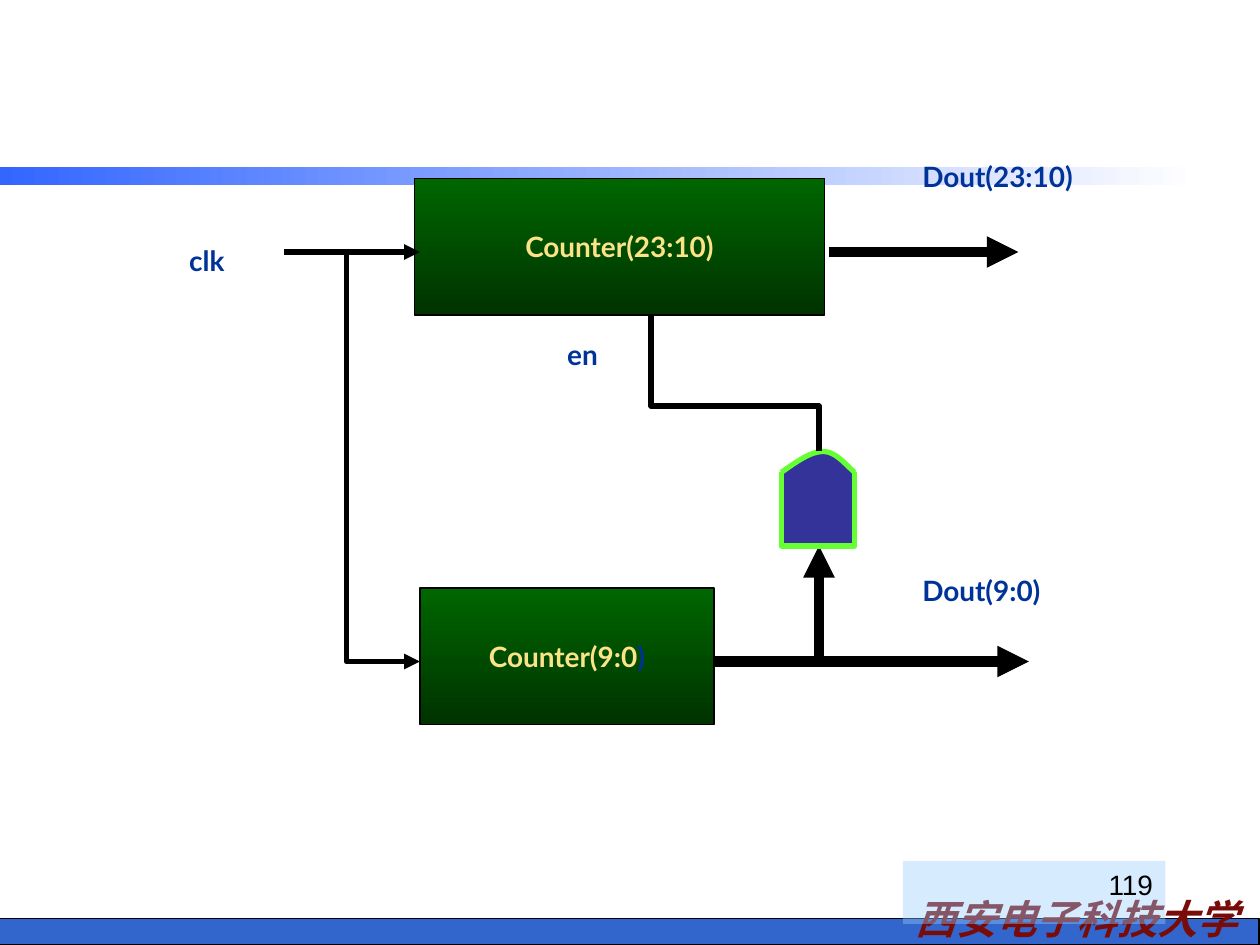
from lxml.etree import SubElement
from pptx import Presentation
from pptx.dml.color import RGBColor
from pptx.enum.shapes import MSO_CONNECTOR, MSO_SHAPE
from pptx.enum.text import MSO_ANCHOR, PP_ALIGN
from pptx.oxml.ns import qn
from pptx.util import Pt

BLACK = RGBColor(0x00, 0x00, 0x00)
WHITE = RGBColor(0xFF, 0xFF, 0xFF)
BLUE = RGBColor(0x33, 0x66, 0xFF)
BAR = RGBColor(0x33, 0x66, 0xCC)
SKY = RGBColor(0x99, 0xCC, 0xFF)
NAVY = RGBColor(0x00, 0x33, 0x99)
CREAM = RGBColor(0xFC, 0xE3, 0x88)
RED = RGBColor(0x79, 0x0C, 0x09)
GREEN = RGBColor(0x00, 0x66, 0x00)
DARK = RGBColor(0x00, 0x33, 0x00)
INDIGO = RGBColor(0x33, 0x33, 0x99)
LIME = RGBColor(0x66, 0xFF, 0x33)

# Content: boxes are left, top, width, height
SCHOOL = "西安电子科技大学"
PAGE = "119"
COUNTERS = [
    ((240, 336, 168, 78), [("Counter(9:0", CREAM), (")", NAVY)]),
    ((237, 102, 234, 78), [("Counter(23:10)", CREAM)]),
]
ARROWS = [  # start, end, width
    ((408, 378), (588, 378), 6),
    ((474, 144), (582, 144), 6),
    ((468, 378), (468, 312), 6),
    ((162, 144), (240, 144), 3),
]
ENABLE = [(468, 258), (468, 232), (372, 232), (372, 180)]
CLOCK = [(198, 144), (198, 378), (240, 378)]
BODY = [(446.4, 270), (446.4, 312), (488.4, 312), (488.4, 270)]
DOME = [
    [(446.4, 270), (455, 264), (463, 258), (470.4, 258)],
    [(470.4, 258), (477, 258), (482, 264), (488.4, 270)],
]
LABELS = [
    ("clk", (101, 135.5, 37.5, 26.5)),
    ("en", (317, 189.5, 34, 26.5)),
    ("Dout(23:10)", (520, 87.5, 105, 26.5)),
    ("Dout(9:0)", (520, 324, 87, 26.5)),
]

deck = Presentation()
deck.slide_width, deck.slide_height = Pt(720), Pt(540)
slide = deck.slides.add_slide(deck.slide_layouts[6])
shapes = slide.shapes


def add_rect(box, line=True):
    rect = shapes.add_shape(MSO_SHAPE.RECTANGLE, *map(Pt, box))
    rect.shadow.inherit = False
    if line:
        rect.line.color.rgb = BLACK
        rect.line.width = Pt(0.75)
    else:
        rect.line.fill.background()
    return rect


def blend(shape, colors, angle):
    shape.fill.gradient()
    shape.fill.gradient_angle = angle
    for stop, color in zip(shape.fill.gradient_stops, colors):
        stop.color.rgb = color


def write(shape, runs, size=16, font="Lato", bold=True, italic=False,
          align=PP_ALIGN.LEFT, anchor=MSO_ANCHOR.TOP, wrap=False):
    frame = shape.text_frame
    frame.word_wrap = wrap
    frame.vertical_anchor = anchor
    para = frame.paragraphs[0]
    para.alignment = align
    for text, color in runs:
        run = para.add_run()
        run.text = text
        run.font.size = Pt(size)
        run.font.name = font
        run.font.bold = bold
        run.font.italic = italic
        run.font.color.rgb = color
        SubElement(run.font._element, qn("a:ea"), typeface=font)


def stroke(shape, width, color=BLACK, arrow=False):
    shape.line.color.rgb = color
    shape.line.width = Pt(width)
    if arrow:
        SubElement(shape.get_or_add_ln(), qn("a:tailEnd"), type="triangle")


def add_path(points, width=3, color=BLACK, fill=None, arrow=False):
    spots = [(Pt(x), Pt(y)) for x, y in points]
    pen = shapes.build_freeform(*spots[0])
    pen.add_line_segments(spots[1:], close=False)
    form = pen.convert_to_shape()
    form.shadow.inherit = False
    if fill is None:
        form.fill.background()
    else:
        form.fill.solid()
        form.fill.fore_color.rgb = fill
    stroke(form, width, color, arrow)


def curve(knots, steps=12):
    for i in range(steps + 1):
        t = i / steps
        parts = ((1 - t) ** 3, 3 * t * (1 - t) ** 2, 3 * t * t * (1 - t), t ** 3)
        yield tuple(sum(p * k[axis] for p, k in zip(parts, knots)) for axis in (0, 1))


# Footer bar, school name and top band
bar = add_rect((-0.5, 525, 720, 15))
bar.fill.solid()
bar.fill.fore_color.rgb = BAR
school = shapes.add_textbox(*map(Pt, (502, 507.5, 227, 35)))
write(school, [(SCHOOL, RED)], 23, "Noto Sans CJK SC", italic=True,
      align=PP_ALIGN.CENTER, wrap=True)
band = add_rect((0, 95.5, 684.5, 10), line=False)
blend(band, (BLUE, WHITE), 0)

# Page number panel
panel = add_rect((516, 492, 150, 36), line=False)
panel.fill.solid()
panel.fill.fore_color.rgb = SKY
tint = panel._element.spPr.find(".//" + qn("a:srgbClr"))
SubElement(tint, qn("a:alpha"), val="39000")
write(panel, [(PAGE, BLACK)], font="Arial", bold=False,
      align=PP_ALIGN.RIGHT, wrap=True)

# Counters
for box, runs in COUNTERS:
    block = add_rect(box)
    blend(block, (GREEN, DARK), 270)
    write(block, runs, align=PP_ALIGN.CENTER, anchor=MSO_ANCHOR.MIDDLE)

# Straight arrows
for start, end, width in ARROWS:
    arrow = shapes.add_connector(MSO_CONNECTOR.STRAIGHT, *map(Pt, start + end))
    stroke(arrow, width, arrow=True)
    SubElement(arrow._element.spPr, qn("a:effectLst"))

# Gate and bent wires
add_path(BODY, color=LIME, fill=INDIGO)
add_path([spot for knots in DOME for spot in curve(knots)], color=LIME, fill=INDIGO)
add_path(ENABLE)
add_path(CLOCK, arrow=True)

# Signal names
for text, box in LABELS:
    write(shapes.add_textbox(*map(Pt, box)), [(text, NAVY)])

deck.save("out.pptx")
